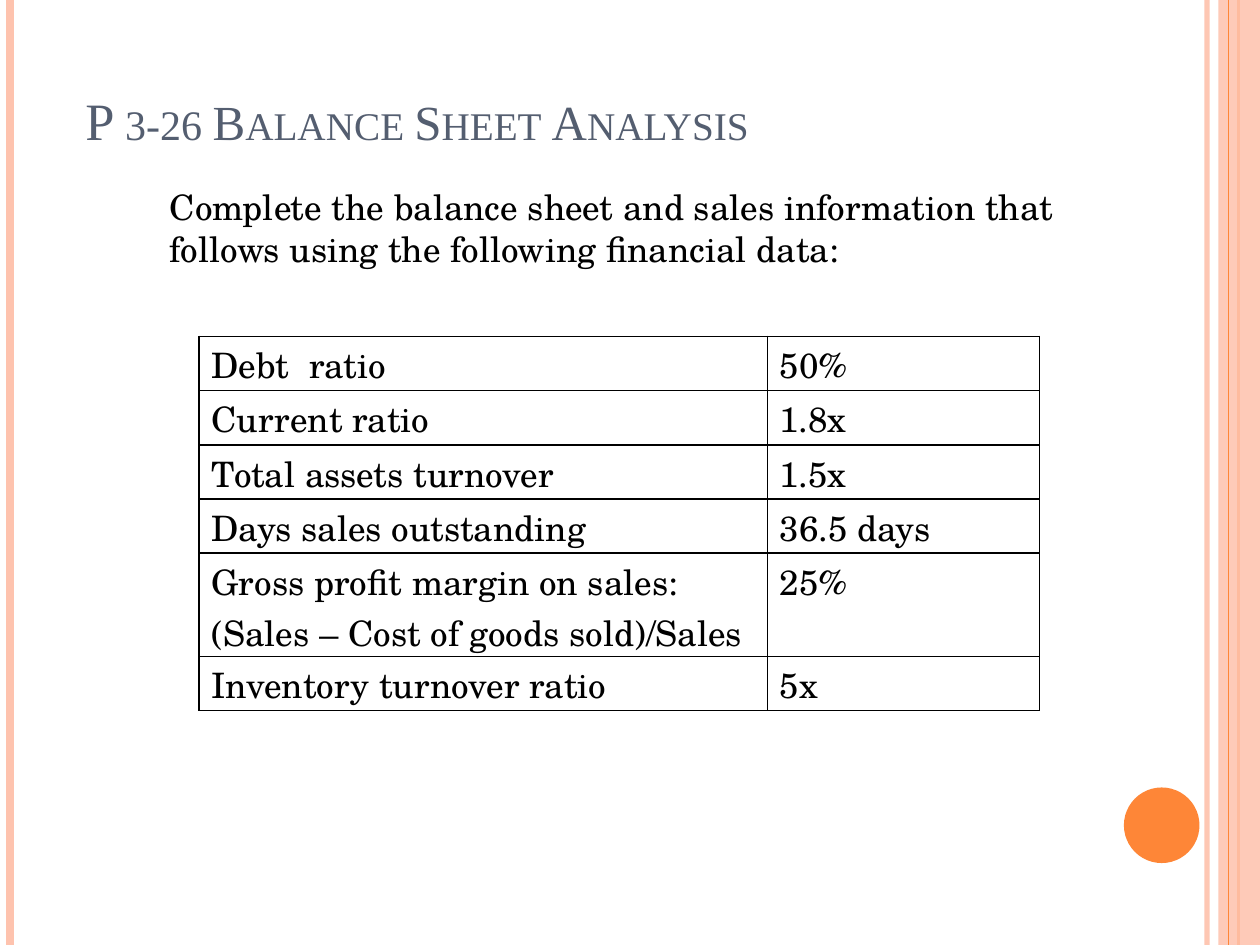
from lxml import etree
from pptx import Presentation
from pptx.dml.color import RGBColor
from pptx.enum.shapes import MSO_CONNECTOR, MSO_SHAPE
from pptx.enum.text import MSO_ANCHOR
from pptx.oxml.ns import qn
from pptx.util import Inches, Pt

STRAIGHT = MSO_CONNECTOR.STRAIGHT
RECTANGLE, OVAL = MSO_SHAPE.RECTANGLE, MSO_SHAPE.OVAL
TOP, BOTTOM = MSO_ANCHOR.TOP, MSO_ANCHOR.BOTTOM

PEACH = RGBColor(0xFE, 0xC3, 0xAE)
ORANGE = RGBColor(0xFE, 0x86, 0x37)
SLATE = RGBColor(0x54, 0x5E, 0x70)
BLACK = RGBColor(0, 0, 0)

BODY = {"name": "TeX Gyre Schola", "size": Pt(20)}
TITLE = {"name": "Times New Roman", "size": Pt(28)}

RATIOS = [
    ("Debt  ratio", "50%"),
    ("Current ratio", "1.8x"),
    ("Total assets turnover", "1.5x"),
    ("Days sales outstanding", "36.5 days"),
    ("Gross profit margin on sales:\v(Sales – Cost of goods sold)/Sales", "25%"),
    ("Inventory turnover ratio", "5x"),
]
COLUMN_WIDTHS = (4.51, 2.16)
ROW_HEIGHT, TALL_ROW_HEIGHT = 0.43, 0.82
CELL_MARGIN = 0.02


def set_alpha(fill_parent, percent):
    """Make the solid fill inside an element partly transparent."""
    color = fill_parent.find(qn("a:solidFill"))[0]
    etree.SubElement(color, qn("a:alpha"), val=str(percent * 1000))


def add_stripe(slide, x, width, color, opacity=100):
    stripe = slide.shapes.add_connector(
        STRAIGHT, Inches(x), 0, Inches(x), Inches(7.5))
    stripe.line.width = Pt(width)
    stripe.line.color.rgb = color
    properties = stripe._element.spPr
    etree.SubElement(properties, qn("a:effectLst"))
    if opacity < 100:
        set_alpha(properties.find(qn("a:ln")), opacity)


def add_solid(slide, kind, bounds, color, opacity=100):
    shape = slide.shapes.add_shape(kind, *map(Inches, bounds))
    shape.shadow.inherit = False
    shape.line.fill.background()
    shape.fill.solid()
    shape.fill.fore_color.rgb = color
    if opacity < 100:
        set_alpha(shape._element.spPr, opacity)


def format_font(font, values, color):
    for name, value in values.items():
        setattr(font, name, value)
    font.color.rgb = color


def add_text(slide, bounds, pieces, color, anchor=TOP):
    """Add a one-paragraph box; pieces are (text, font values) pairs."""
    box = slide.shapes.add_textbox(*map(Inches, bounds))
    box.text_frame.word_wrap = True
    box.text_frame.vertical_anchor = anchor
    para = box.text_frame.paragraphs[0]
    for text, values in pieces:
        span = para.add_run()
        span.text = text
        format_font(span.font, values, color)
    return para


def add_title(slide):
    pieces = [("P 3-26 ", {**TITLE, "size": Pt(30)}),
              ("Balance Sheet Analysis", TITLE)]
    para = add_text(slide, (0.58, 0, 9, 1.25), pieces, SLATE, BOTTOM)
    for span in para.runs:
        span.font._element.set("cap", "small")


def add_borders(cell):
    properties = cell._tc.get_or_add_tcPr()
    for position, side in enumerate(("a:lnL", "a:lnR", "a:lnT", "a:lnB")):
        line = etree.Element(qn(side), w=str(Pt(1)))
        fill = etree.SubElement(line, qn("a:solidFill"))
        etree.SubElement(fill, qn("a:srgbClr"), val=str(BLACK))
        properties.insert(position, line)


def fill_cell(cell, text):
    cell.text = text
    cell.margin_top = cell.margin_bottom = Inches(CELL_MARGIN)
    cell.fill.background()
    for span in cell.text_frame.paragraphs[0].runs:
        format_font(span.font, BODY, BLACK)
    add_borders(cell)


def add_ratio_table(slide):
    heights = [TALL_ROW_HEIGHT if "\v" in label else ROW_HEIGHT
               for label, _ in RATIOS]
    frame = slide.shapes.add_table(
        len(RATIOS), len(COLUMN_WIDTHS), Inches(1.58), Inches(2.67),
        Inches(sum(COLUMN_WIDTHS)), Inches(sum(heights)))
    table = frame.table
    table.first_row = table.horz_banding = False
    for column, width in zip(table.columns, COLUMN_WIDTHS):
        column.width = Inches(width)
    for row, height, texts in zip(table.rows, heights, RATIOS):
        row.height = Inches(height)
        for cell, text in zip(row.cells, texts):
            fill_cell(cell, text)


def main():
    deck = Presentation()
    deck.slide_width, deck.slide_height = Inches(10), Inches(7.5)
    slide = deck.slides.add_slide(deck.slide_layouts[6])

    add_stripe(slide, 9.58, 3, PEACH, 93)
    add_stripe(slide, 0.08, 4.5, PEACH)
    add_stripe(slide, 9.83, 1.5, ORANGE)
    add_solid(slide, RECTANGLE, (9.67, 0, 0.33, 7.5), PEACH, 87)
    add_stripe(slide, 9.75, 0.75, ORANGE)
    add_solid(slide, OVAL, (8.92, 6.25, 0.6, 0.6), ORANGE)

    add_title(slide)
    intro = ("Complete the balance sheet and sales information that "
             "follows using the following financial data:")
    add_text(slide, (1.25, 1.42, 7.25, 0.77), [(intro, BODY)], BLACK)
    add_ratio_table(slide)
    deck.save("out.pptx")


if __name__ == "__main__":
    main()
